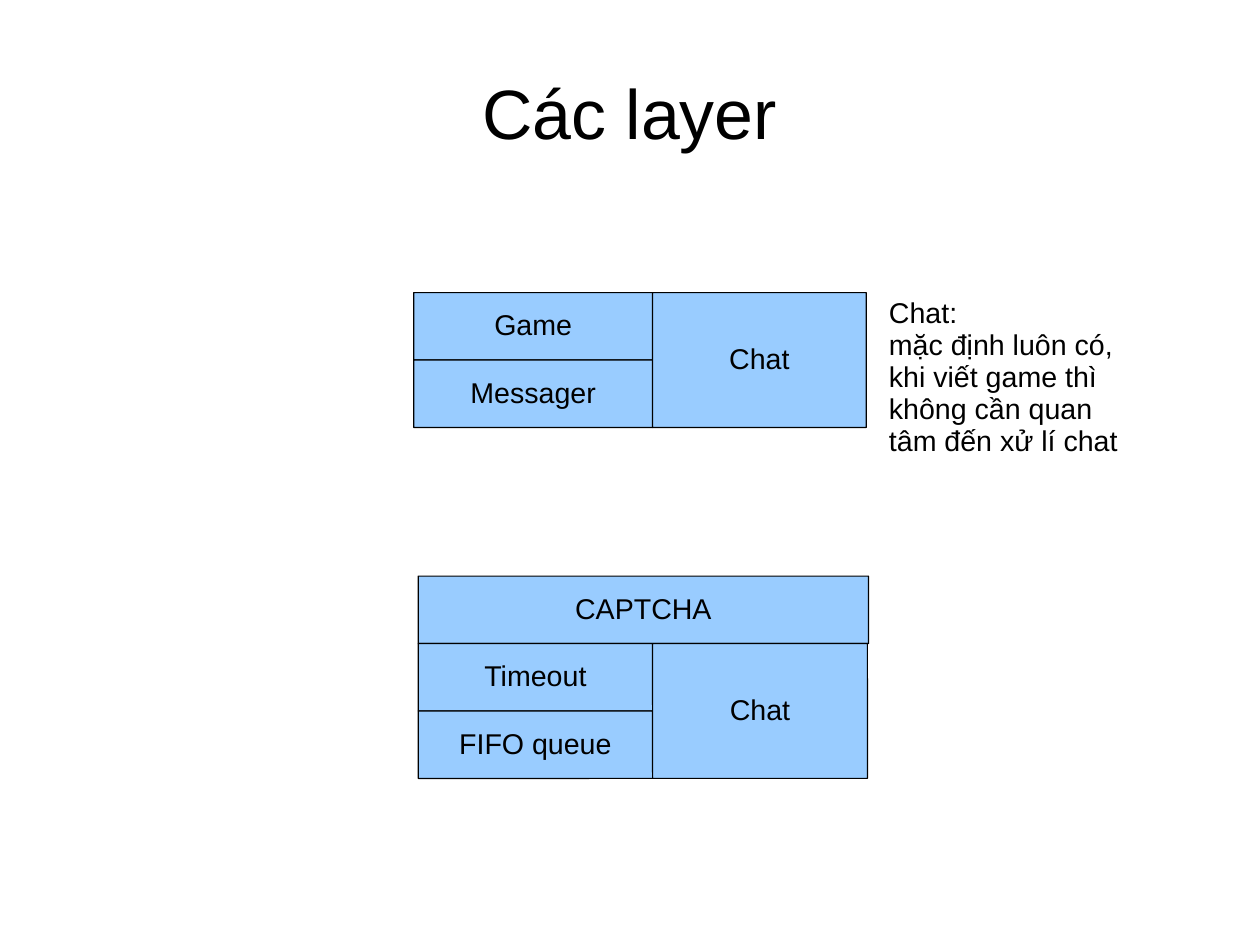
import pptx
import pptx.util
import pptx.dml.color
import pptx.enum.shapes
import pptx.enum.text

PX = 9144  # 100 px to the inch
ROW = 59
COLORS = {"fill": "99CCFF", "ink": "000000"}
ALIGN = pptx.enum.text.PP_ALIGN
ANCHOR = pptx.enum.text.MSO_ANCHOR


def rgb(name):
    return pptx.dml.color.RGBColor.from_string(COLORS[name])


def write(shape, lines, size, align, anchor, pad=(10, 5)):
    """Fill a shape with paragraphs; pad is the side and top inset in px."""
    side, top = (n * PX for n in pad)
    frame = shape.text_frame
    form = {"word_wrap": True, "vertical_anchor": anchor,
            "margin_left": side, "margin_right": side,
            "margin_top": top, "margin_bottom": top}
    for key, value in form.items():
        setattr(frame, key, value)
    frame.text = "\n".join(lines)
    for para in frame.paragraphs:
        para.alignment = align
        para.line_spacing = 0.93
        for run in para.runs:
            run.font.name = "Arial"
            run.font.size = pptx.util.Pt(size)
            run.font.color.rgb = rgb("ink")


deck = pptx.Presentation()
# 28 by 21 cm, in the EMU that office programs store for it
deck.slide_width, deck.slide_height = 10080625, 7559675
slide = deck.slides.add_slide(deck.slide_layouts[6])

# Text boxes: place, lines, size, alignment, anchor, insets
texts = [
    ((55, 38, 992, 127), ["Các layer"], 44, ALIGN.CENTER, ANCHOR.MIDDLE, (0, 0)),
    ((768, 256, 236, 150),
     ["Chat:", "mặc định luôn có, khi viết game thì không cần quan tâm đến xử lí chat"],
     18, ALIGN.LEFT, ANCHOR.TOP, (10, 5)),
]
for place, *rest in texts:
    box = slide.shapes.add_textbox(*(n * PX for n in place))
    write(box, *rest)

# Layer stacks: top, then blocks as label, left, width, first row, row count
stacks = [
    (504, [("CAPTCHA", 366, 394, 0, 1),
           ("Timeout", 366, 205, 1, 1),
           ("FIFO queue", 366, 205, 2, 1),
           ("Chat", 571, 188, 1, 2)]),
    (256, [("Game", 362, 209, 0, 1),
           ("Messager", 362, 209, 1, 1),
           ("Chat", 571, 187, 0, 2)]),
]
for top, blocks in stacks:
    for label, left, width, row, span in blocks:
        place = (left, top + row * ROW, width, span * ROW)
        block = slide.shapes.add_shape(
            pptx.enum.shapes.MSO_SHAPE.ROUNDED_RECTANGLE, *(n * PX for n in place))
        block.adjustments[0] = 0.003 / span
        block.shadow.inherit = False
        block.fill.solid()
        block.fill.fore_color.rgb = rgb("fill")
        block.line.color.rgb = rgb("ink")
        block.line.width = pptx.util.Pt(0.75)
        write(block, [label], 18, ALIGN.CENTER, ANCHOR.MIDDLE)

deck.save("out.pptx")
